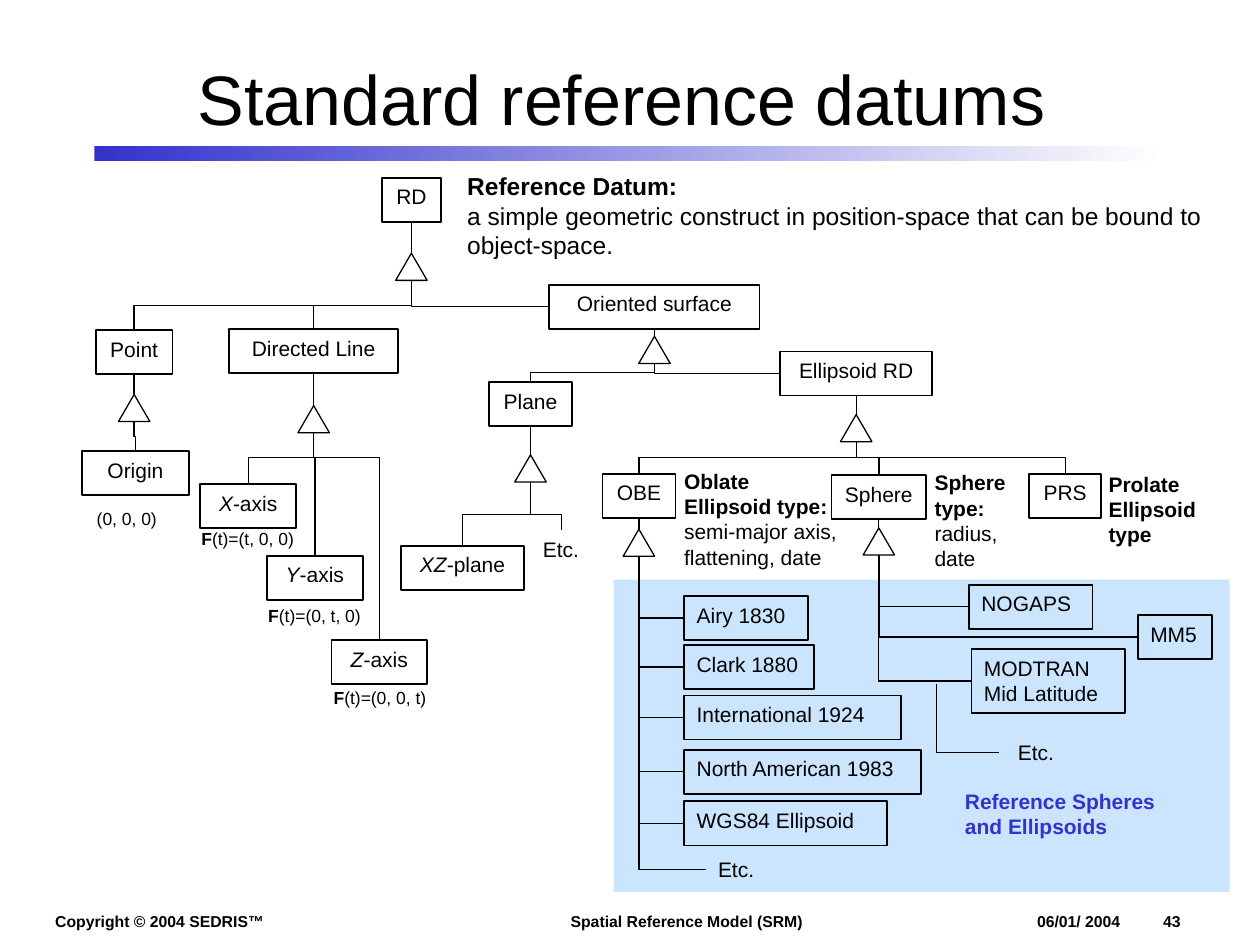
import lxml.etree
import pptx
import pptx.dml.color
import pptx.enum.shapes
import pptx.enum.text
import pptx.oxml.ns
import pptx.util

Pt = pptx.util.Pt
qn = pptx.oxml.ns.qn
SHAPE = pptx.enum.shapes.MSO_SHAPE
CONNECTOR = pptx.enum.shapes.MSO_CONNECTOR
ALIGN = pptx.enum.text.PP_ALIGN
ANCHOR = pptx.enum.text.MSO_ANCHOR

COLORS = {"ink": "000000", "accent": "3333CC", "paper": "FFFFFF", "panel": "99CCFF"}
FONT = "Arial"
TITLE = "Standard reference datums"
BOX_HEIGHT = 25.2
TRIANGLE_WIDTH, TRIANGLE_HEIGHT = 18, 15.5

# Datum classes: left, top, width, runs of (text, style)
CLASSES = {
    "rd": (218.2, 101.5, 33.8, [("RD", "")]),
    "point": (54.7, 188.6, 43.9, [("Point", "")]),
    "line": (131, 187.9, 96.5, [("Directed Line", "")]),
    "surface": (313.9, 162.7, 120.2, [("Oriented surface", "")]),
    "plane": (279.4, 218.2, 47.5, [("Plane", "")]),
    "ellipsoid": (445.7, 200.9, 87.1, [("Ellipsoid RD", "")]),
    "origin": (46.8, 257.8, 61.2, [("Origin", "")]),
    "x": (114.5, 276.5, 54.7, [("X", "i"), ("-axis", "")]),
    "y": (152.6, 317.5, 54.7, [("Y", "i"), ("-axis", "")]),
    "z": (189.4, 365.8, 54.7, [("Z", "i"), ("-axis", "")]),
    "xz": (229, 311.8, 70.6, [("XZ", "i"), ("-plane", "")]),
    "obe": (344.2, 270.7, 41.8, [("OBE", "")]),
    "sphere": (475.2, 271.4, 54, [("Sphere", "")]),
    "prs": (588.2, 270.7, 41, [("PRS", "")]),
}
# Named datums, left aligned: left, top, width, height, text
DATUMS = {
    "airy": (391, 340.6, 70.6, BOX_HEIGHT, "Airy 1830"),
    "clark": (391, 368.6, 74.2, BOX_HEIGHT, "Clark 1880"),
    "international": (391, 397.4, 123.8, BOX_HEIGHT, "International 1924"),
    "american": (391, 428.4, 135.4, BOX_HEIGHT, "North American 1983"),
    "wgs": (391, 457.9, 115.9, BOX_HEIGHT, "WGS84 Ellipsoid"),
    "nogaps": (553.7, 334.1, 70.6, BOX_HEIGHT, "NOGAPS"),
    "mm5": (650.2, 351.4, 42.5, BOX_HEIGHT, "MM5"),
    "modtran": (555.1, 370.8, 87.8, 36.7, "MODTRAN Mid Latitude"),
}
# Open ends of a branch: left, top
MORE = {"more planes": (303.1, 303.1), "more ellipsoids": (403.2, 486),
        "more spheres": (574.6, 419)}
MORE_WIDTH, MORE_HEIGHT = 35.3, 21.6

# Parent: triangle top, height of the crossbar, children below, children at the side
TREE = {
    "rd": (144.7, 174.5, ["point", "line"], ["surface"]),
    "surface": (192.2, 213, ["plane"], ["ellipsoid"]),
    "point": (225.4, 249.5, ["origin"], []),
    "line": (231.8, 261.5, ["x", "y", "z"], []),
    "plane": (259.9, 294, ["xz", "more planes"], []),
    "ellipsoid": (236.9, 261.5, ["obe", "sphere", "prs"], []),
    "obe": (302.4, None, [],
            ["airy", "clark", "international", "american", "wgs", "more ellipsoids"]),
    "sphere": (301.7, None, [], ["nogaps", "mm5", "modtran"]),
}
MORE_SPHERES_PATH = [(535, 391), (535, 429.8), (571, 429.8)]

# Notes: left, top, width, height, size, color, paragraphs of runs
NOTES = [
    (259.9, 94.3, 434.2, 57.6, 14, "ink", [
        [("Reference Datum:", "b")],
        [("a simple geometric construct in position-space that can be bound to", "")],
        [("object-space.", "")]]),
    (48.2, 286.6, 49, 19.4, 10, "ink", [[("(0, 0, 0)", "")]]),
    (108, 298.1, 67.7, 19.4, 10, "ink", [[("F", "b"), ("(t)=(t, 0, 0)", "")]]),
    (146.2, 342, 67.7, 19.4, 10, "ink", [[("F", "b"), ("(t)=(0, t, 0)", "")]]),
    (183.6, 388.8, 67.7, 19.4, 10, "ink", [[("F", "b"), ("(t)=(0, 0, t)", "")]]),
    (383.8, 264.2, 101.5, 64.8, 12, "ink", [
        [("Oblate", "b")], [("Ellipsoid type:", "b")],
        [("semi-major axis,", "")], [("flattening, date", "")]]),
    (527, 265, 55.4, 64.8, 12, "ink", [
        [("Sphere", "b")], [("type:", "b")], [("radius,", "")], [("date", "")]]),
    (626.4, 265.7, 64.8, 50.4, 12, "ink", [
        [("Prolate", "b")], [("Ellipsoid", "b")], [("type", "b")]]),
    (544.3, 447.1, 126, 36, 12, "accent", [
        [("Reference Spheres", "b")], [("and Ellipsoids", "b")]]),
    (24.5, 517.7, 133.9, 18, 9, "ink", [[("Copyright © 2004 SEDRIS™", "b")]]),
    (319, 517.7, 146.9, 18, 9, "ink", [[("Spatial Reference Model (SRM)", "b")]]),
]
DATE_AND_NUMBER = [[("06/01/ 2004\t\t43", "b")]]
DATE_TABS = [60, 72]


def rgb(name):
    return pptx.dml.color.RGBColor.from_string(COLORS[name])


def write(frame, paragraphs, size, color="ink", align=ALIGN.LEFT):
    for index, runs in enumerate(paragraphs):
        para = frame.paragraphs[0] if index == 0 else frame.add_paragraph()
        para.alignment = align
        for text, style in runs:
            span = para.add_run()
            span.text = text
            span.font.name = FONT
            span.font.size = Pt(size)
            span.font.color.rgb = rgb(color)
            span.font.bold = style == "b"
            span.font.italic = style == "i"


def add_note(slide, left, top, width, height, size, color, paragraphs):
    box = slide.shapes.add_textbox(Pt(left), Pt(top), Pt(width), Pt(height))
    box.text_frame.word_wrap = False
    write(box.text_frame, paragraphs, size, color)
    return box


def add_shape(slide, kind, left, top, width, height, line_width=None):
    shape = slide.shapes.add_shape(kind, Pt(left), Pt(top), Pt(width), Pt(height))
    shape.shadow.inherit = False
    shape.fill.background()
    if line_width:
        shape.line.color.rgb = rgb("ink")
        shape.line.width = Pt(line_width)
    else:
        shape.line.fill.background()
    return shape


def add_node(slide, left, top, width, height, runs, align):
    box = add_shape(slide, SHAPE.RECTANGLE, left, top, width, height, 1)
    box.text_frame.vertical_anchor = ANCHOR.TOP
    box.text_frame.word_wrap = True
    write(box.text_frame, [runs], 12, align=align)


def add_link(slide, kind, start, end):
    link = slide.shapes.add_connector(kind, *[Pt(value) for value in (*start, *end)])
    link.line.color.rgb = rgb("ink")
    link.line.width = Pt(0.75)
    lxml.etree.SubElement(link._element.spPr, qn("a:effectLst"))
    return link


def add_elbow(slide, start, end, bar=None):
    """Run down from start, across at height bar and down to end; without bar, turn once."""
    center_x, center_y = (start[0] + end[0]) / 2, (start[1] + end[1]) / 2
    drop, shift = end[1] - start[1], end[0] - start[0]
    # The elbow is laid out sideways and turned; one running right is also flipped.
    half = -drop / 2 if shift > 0 else drop / 2
    rise = abs(shift) / 2
    link = add_link(slide, CONNECTOR.ELBOW, (center_x - half, center_y - rise),
                    (center_x + half, center_y + rise))
    properties = link._element.spPr
    properties.find(qn("a:xfrm")).set("rot", str((270 if shift > 0 else 90) * 60000))
    geometry = properties.find(qn("a:prstGeom"))
    if bar is None:
        geometry.set("prst", "bentConnector2")
    else:
        guide = lxml.etree.SubElement(geometry.find(qn("a:avLst")), qn("a:gd"))
        guide.set("name", "adj1")
        guide.set("fmla", f"val {round((bar - start[1]) / drop * 100000)}")


def add_background(slide):
    rule = add_shape(slide, SHAPE.RECTANGLE, 54, 83.5, 612, 8.6)
    rule.fill.gradient()
    rule.fill.gradient_angle = 0
    for stop, position, color in zip(rule.fill.gradient_stops, (0, 1), ("accent", "paper")):
        stop.position = position
        stop.color.rgb = rgb(color)
    panel = add_shape(slide, SHAPE.RECTANGLE, 350.6, 331.2, 352.1, 178.6)
    panel.fill.solid()
    panel.fill.fore_color.rgb = rgb("panel")
    tint = panel._element.spPr.find(qn("a:solidFill"))[0]
    lxml.etree.SubElement(tint, qn("a:alpha")).set("val", "50000")


def add_tree(slide):
    areas = {name: (*node[:3], BOX_HEIGHT) for name, node in CLASSES.items()}
    areas.update({name: datum[:4] for name, datum in DATUMS.items()})
    areas.update({name: (*place, MORE_WIDTH, MORE_HEIGHT) for name, place in MORE.items()})
    for parent, (triangle_top, bar, below, beside) in TREE.items():
        left, top, width, height = areas[parent]
        middle = left + width / 2
        foot = (middle, triangle_top + TRIANGLE_HEIGHT)
        add_link(slide, CONNECTOR.STRAIGHT, (middle, top + height), (middle, triangle_top))
        for child in below:
            left, top, width, height = areas[child]
            add_elbow(slide, foot, (left + width / 2, top), bar)
        for child in beside:
            left, top, width, height = areas[child]
            add_elbow(slide, foot, (left, top + height / 2))
        triangle = add_shape(slide, SHAPE.ISOSCELES_TRIANGLE, middle - TRIANGLE_WIDTH / 2,
                             triangle_top, TRIANGLE_WIDTH, TRIANGLE_HEIGHT, 0.75)
        triangle.fill.solid()
        triangle.fill.fore_color.rgb = rgb("paper")
    for name, (*_, runs) in CLASSES.items():
        add_node(slide, *areas[name], runs, ALIGN.CENTER)
    for name, (*_, text) in DATUMS.items():
        add_node(slide, *areas[name], [(text, "")], ALIGN.LEFT)
    for name in MORE:
        add_note(slide, *areas[name], 12, "ink", [[("Etc.", "")]])
    start, *corners = MORE_SPHERES_PATH
    builder = slide.shapes.build_freeform(Pt(start[0]), Pt(start[1]))
    builder.add_line_segments([(Pt(x), Pt(y)) for x, y in corners], close=False)
    branch = builder.convert_to_shape()
    branch.shadow.inherit = False
    branch.fill.background()
    branch.line.color.rgb = rgb("ink")
    branch.line.width = Pt(0.75)


def add_date(slide):
    box = slide.shapes.add_textbox(Pt(592.6), Pt(521.3), Pt(103.7), Pt(10.8))
    frame = box.text_frame
    frame.word_wrap = True
    frame.vertical_anchor = ANCHOR.BOTTOM
    frame.margin_left = frame.margin_right = frame.margin_top = frame.margin_bottom = 0
    tabs = lxml.etree.SubElement(frame.paragraphs[0]._p.get_or_add_pPr(), qn("a:tabLst"))
    for position in DATE_TABS:
        lxml.etree.SubElement(tabs, qn("a:tab"), pos=str(Pt(position)), algn="l")
    write(frame, DATE_AND_NUMBER, 9)


def main():
    deck = pptx.Presentation()
    deck.slide_width, deck.slide_height = Pt(720), Pt(540)
    slide = deck.slides.add_slide(deck.slide_layouts[5])
    add_background(slide)
    title = slide.shapes.title
    title.left, title.top, title.width, title.height = Pt(49), Pt(28.8), Pt(612), Pt(54)
    title.text_frame.vertical_anchor = ANCHOR.MIDDLE
    write(title.text_frame, [[(TITLE, "")]], 40, align=ALIGN.CENTER)
    add_tree(slide)
    for note in NOTES:
        add_note(slide, *note)
    add_date(slide)
    deck.save("out.pptx")


if __name__ == "__main__":
    main()
